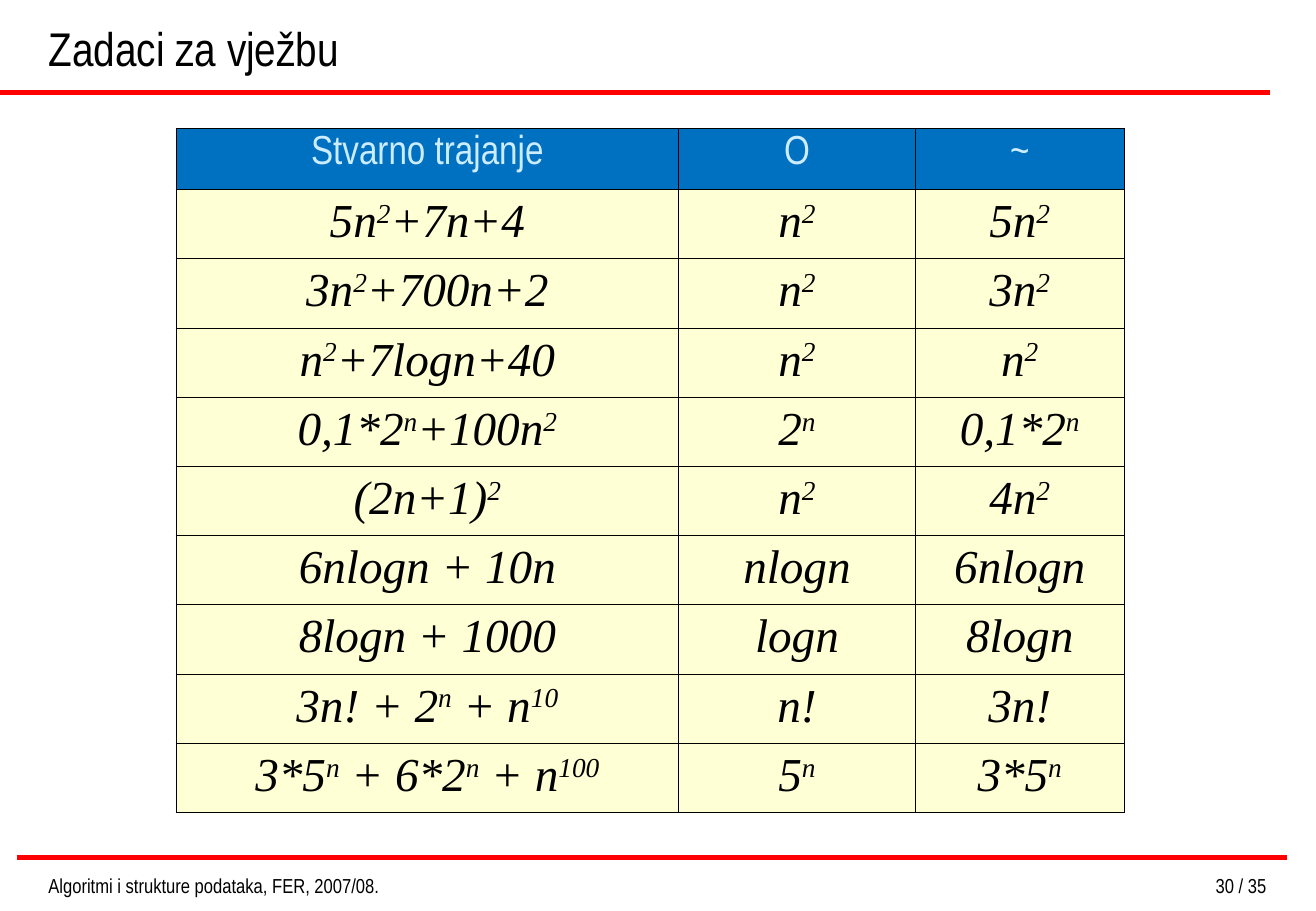
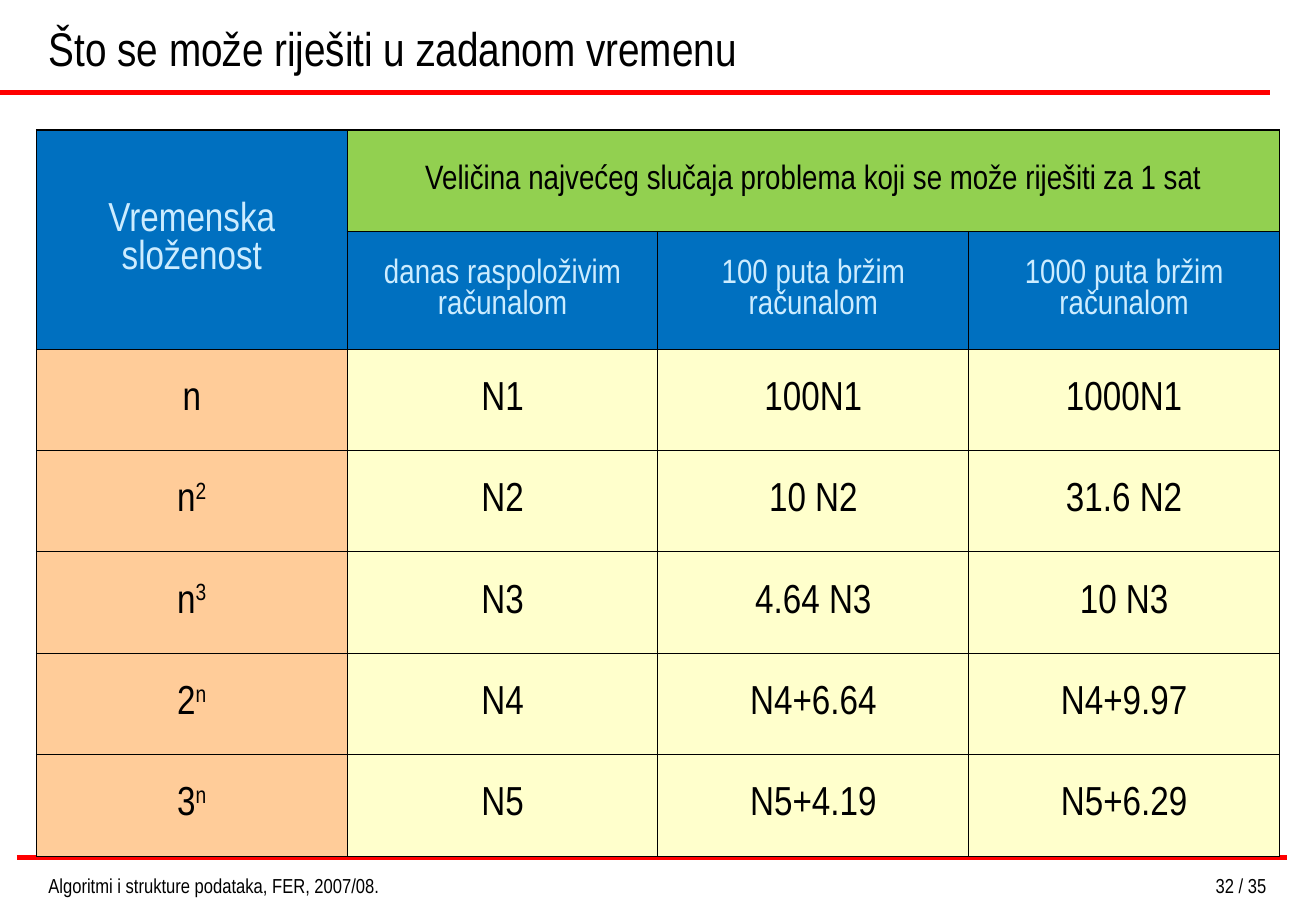
from lxml import etree
from pptx import Presentation
from pptx.dml.color import RGBColor
from pptx.enum.shapes import MSO_CONNECTOR
from pptx.enum.text import MSO_ANCHOR, PP_ALIGN
from pptx.oxml.ns import qn
from pptx.util import Pt

PX = 4572
STRAIGHT = MSO_CONNECTOR.STRAIGHT
TOP, MIDDLE, BOTTOM = MSO_ANCHOR.TOP, MSO_ANCHOR.MIDDLE, MSO_ANCHOR.BOTTOM
LEFT, CENTER, RIGHT = PP_ALIGN.LEFT, PP_ALIGN.CENTER, PP_ALIGN.RIGHT

COLORS = {
    "text": "000000",
    "rule": "FF0000",
    "header": "0070C0",
    "header_text": "CCECFF",
    "formula": "FFFF99",
    "group": "92D050",
    "label": "FFCC99",
    "value": "FFFFCC",
}
NARROW = "Arial Narrow"
TITLE = {"name": NARROW, "size": Pt(28), "color": "text"}
FOOTER = {"name": NARROW, "size": Pt(12), "color": "text"}
HEADER = {"name": NARROW, "size": Pt(24), "color": "header_text"}
SUBHEADER = {**HEADER, "size": Pt(20)}
GROUP = {**SUBHEADER, "color": "text"}
BODY = {**HEADER, "color": "text"}
FORMULA = {"name": "Times New Roman", "size": Pt(28), "italic": True, "color": "text"}

RULES = [(0, 152, 2092), (28, 1412, 2120)]
FOOTER_TEXT = "Algoritmi i strukture podataka, FER, 2007/08."

DURATIONS = [
    ("Stvarno trajanje", "O", "~"),
    ("5n^2^+7n+4", "n^2", "5n^2"),
    ("3n^2^+700n+2", "n^2", "3n^2"),
    ("n^2^+7logn+40", "n^2", "n^2"),
    ("0,1*2^n^+100n^2", "2^n", "0,1*2^n"),
    ("(2n+1)^2", "n^2", "4n^2"),
    ("6nlogn + 10n", "nlogn", "6nlogn"),
    ("8logn + 1000", "logn", "8logn"),
    ("3n! + 2^n^ + n^10", "n!", "3n!"),
    ("3*5^n^ + 6*2^n^ + n^100", "5^n", "3*5^n"),
]
PROBLEM_SIZES = [
    ("Vremenska složenost",
     "Veličina najvećeg slučaja problema koji se može riješiti za 1 sat", "", ""),
    ("", "danas raspoloživim računalom", "100 puta bržim računalom",
     "1000 puta bržim računalom"),
    ("n", "N1", "100N1", "1000N1"),
    ("n^2", "N2", "10 N2", "31.6 N2"),
    ("n^3", "N3", "4.64 N3", "10 N3"),
    ("2^n", "N4", "N4+6.64", "N4+9.97"),
    ("3^n", "N5", "N5+4.19", "N5+6.29"),
]


def px(*lengths):
    return [length * PX for length in lengths]


def rgb(color):
    return RGBColor.from_string(COLORS[color])


def format_font(font, style):
    for name, value in style.items():
        if name == "color":
            font.color.rgb = rgb(value)
        else:
            setattr(font, name, value)


def write_text(text_frame, text, style, alignment):
    paragraph = text_frame.paragraphs[0]
    paragraph.alignment = alignment
    for index, part in enumerate(text.split("^")):
        if not part:
            continue
        run = paragraph.add_run()
        run.text = part
        format_font(run.font, style)
        if index % 2:
            run._r.get_or_add_rPr().set("baseline", "30000")


def add_rule(slide, left, top, right):
    connector = slide.shapes.add_connector(STRAIGHT, *px(left, top, right, top))
    connector.line.color.rgb = rgb("rule")
    connector.line.width = Pt(3)
    etree.SubElement(connector._element.spPr, qn("a:effectLst"))


def add_footer(slide, box, text, alignment):
    text_frame = slide.shapes.add_textbox(*px(*box)).text_frame
    text_frame.word_wrap = True
    text_frame.vertical_anchor = TOP
    write_text(text_frame, text, FOOTER, alignment)


def add_titled_slide(presentation, title_text, page):
    slide = presentation.slides.add_slide(presentation.slide_layouts[5])
    title = slide.shapes.title
    title.left, title.top, title.width, title.height = px(60, 0, 2032, 136)
    title.text_frame.vertical_anchor = BOTTOM
    write_text(title.text_frame, title_text, TITLE, LEFT)
    for rule in RULES:
        add_rule(slide, *rule)
    add_footer(slide, (60, 1428, 756, 48), FOOTER_TEXT, LEFT)
    add_footer(slide, (1552, 1428, 554, 48), f"{page} / 35", RIGHT)
    return slide


def set_borders(cell, width):
    properties = cell._tc.get_or_add_tcPr()
    for side in ("lnL", "lnR", "lnT", "lnB"):
        line = etree.SubElement(properties, qn(f"a:{side}"), w=str(int(width)))
        fill = etree.SubElement(line, qn("a:solidFill"))
        etree.SubElement(fill, qn("a:srgbClr"), val=COLORS["text"])


def set_fill(cell, color, opacity):
    cell.fill.solid()
    cell.fill.fore_color.rgb = rgb(color)
    if opacity < 100:
        element = cell._tc.tcPr.find(f"{qn('a:solidFill')}/{qn('a:srgbClr')}")
        etree.SubElement(element, qn("a:alpha"), val=str(opacity * 1000))


def add_grid(slide, left, top, widths, heights, rows, cell_style, border, anchor):
    frame = slide.shapes.add_table(
        len(rows), len(widths), *px(left, top, sum(widths), sum(heights)))
    table = frame.table
    table.first_row = table.horz_banding = False
    for column, width in zip(table.columns, widths):
        column.width = width * PX
    for row, height in zip(table.rows, heights):
        row.height = height * PX
    for row_index, texts in enumerate(rows):
        for column_index, text in enumerate(texts):
            cell = table.cell(row_index, column_index)
            style, color, opacity = cell_style(row_index, column_index)
            cell.vertical_anchor = anchor
            set_borders(cell, border)
            set_fill(cell, color, opacity)
            write_text(cell.text_frame, text, style, CENTER)
    return table


def duration_style(row, column):
    if row == 0:
        return HEADER, "header", 100
    return FORMULA, "formula", 40


def problem_size_style(row, column):
    if row > 1:
        return BODY, "value" if column else "label", 100
    if column == 0:
        return HEADER, "header", 100
    if row == 0:
        return GROUP, "group", 100
    return SUBHEADER, "header", 100


def add_exercises(presentation):
    slide = add_titled_slide(presentation, "Zadaci za vježbu", 30)
    add_grid(slide, 290, 212, [828, 390, 344], [100] + [114] * 9,
             DURATIONS, duration_style, Pt(0.45), TOP)


def add_solvable_sizes(presentation):
    slide = add_titled_slide(presentation, "Što se može riješiti u zadanom vremenu", 32)
    table = add_grid(slide, 60, 214, [512] * 4, [167, 194] + [167] * 5,
                     PROBLEM_SIZES, problem_size_style, Pt(0.75), MIDDLE)
    table.cell(0, 0).merge(table.cell(1, 0))
    table.cell(0, 1).merge(table.cell(0, 3))


def main():
    presentation = Presentation()
    presentation.slide_width, presentation.slide_height = px(2168, 1500)
    add_exercises(presentation)
    add_solvable_sizes(presentation)
    presentation.save("out.pptx")


if __name__ == "__main__":
    main()
